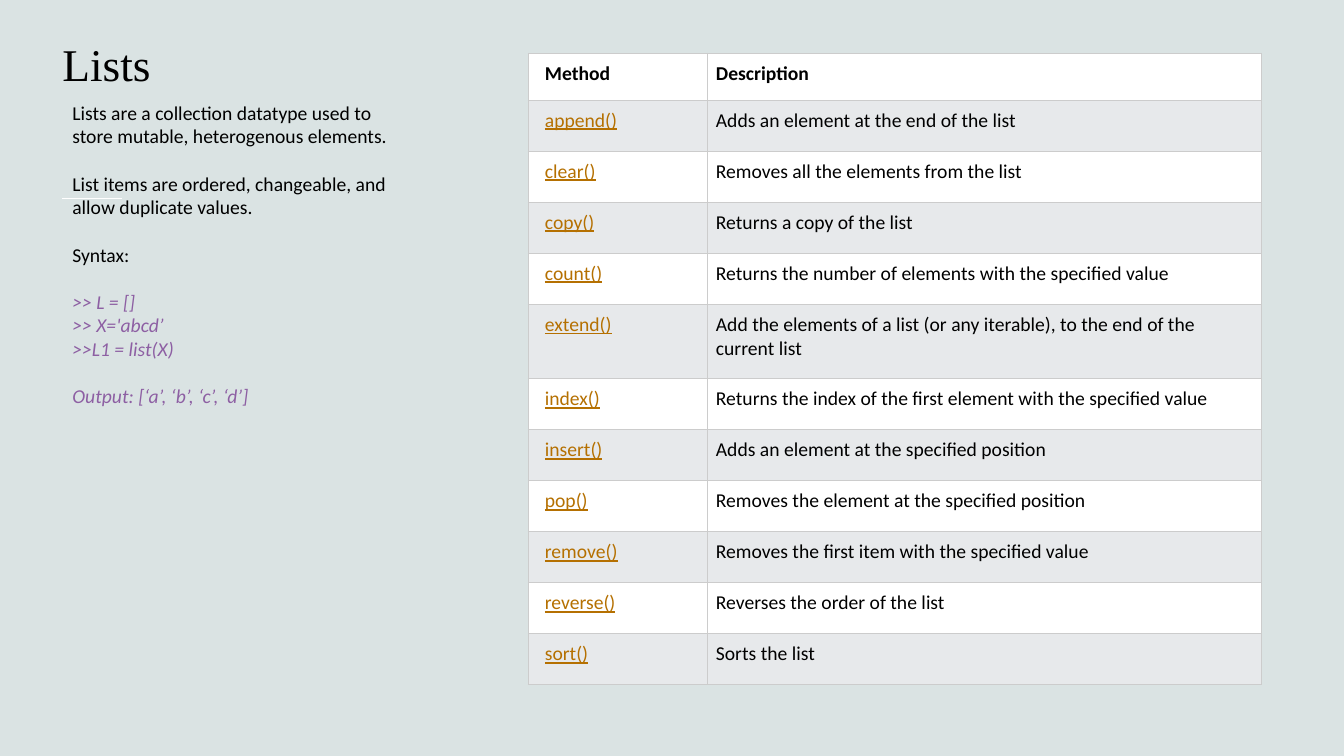
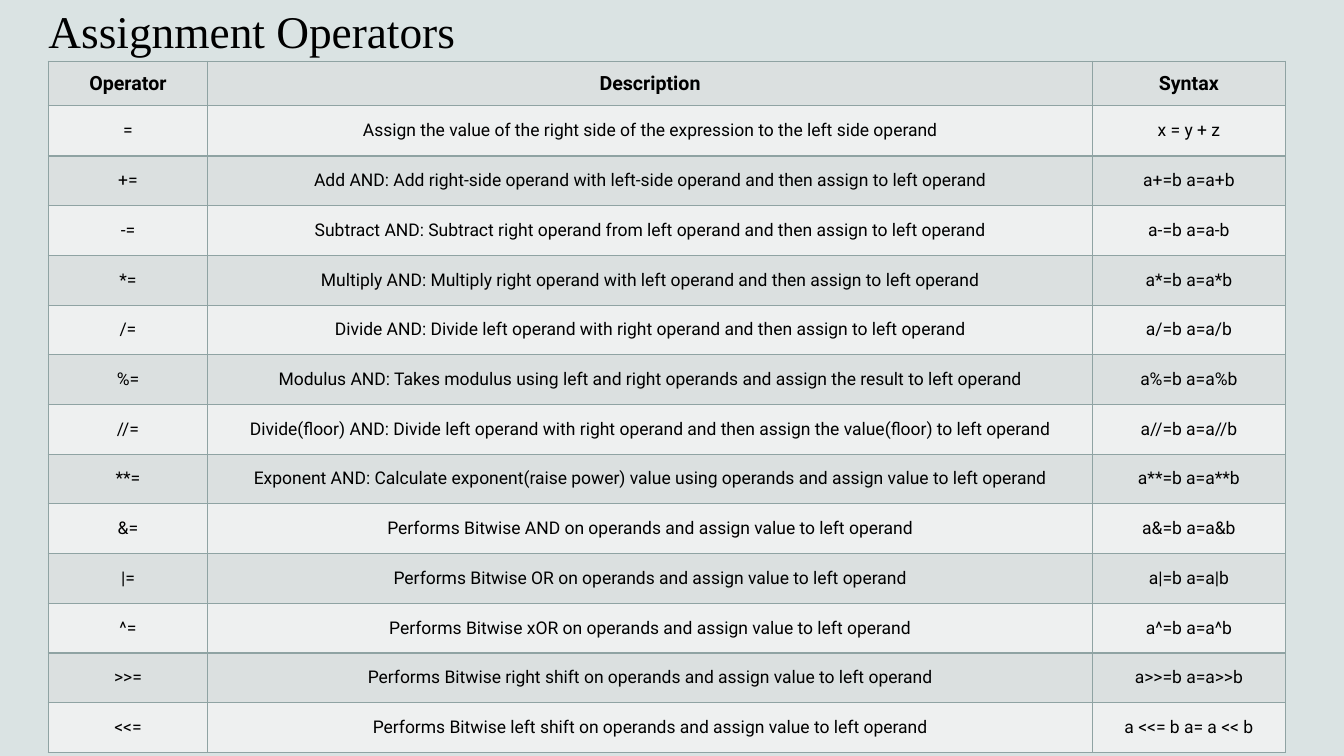
from lxml.etree import SubElement
from pptx import Presentation
from pptx.dml.color import RGBColor
from pptx.enum.text import MSO_ANCHOR, MSO_AUTO_SIZE, PP_ALIGN
from pptx.oxml import parse_xml
from pptx.oxml.ns import nsdecls, qn
from pptx.util import Pt

BACK = RGBColor(0xDA, 0xE3, 0xE3)
BLACK = RGBColor(0x00, 0x00, 0x00)
WHITE = RGBColor(0xFF, 0xFF, 0xFF)
PURPLE = RGBColor(0x8D, 0x5F, 0xA3)
AMBER = RGBColor(0xB5, 0x70, 0x01)
SILVER = RGBColor(0xE7, 0xE9, 0xEB)
GREY = RGBColor(0xCC, 0xCC, 0xCC)
MIST = RGBColor(0xDB, 0xE0, 0xE0)
PALE = RGBColor(0xEE, 0xF0, 0xF0)
SAGE = RGBColor(0x8F, 0xA3, 0xA3)

METHODS = [
    ("Method", "Description"),
    ("append()", "Adds an element at the end of the list"),
    ("clear()", "Removes all the elements from the list"),
    ("copy()", "Returns a copy of the list"),
    ("count()", "Returns the number of elements with the specified value"),
    ("extend()", "Add the elements of a list (or any iterable), to the end of the current list"),
    ("index()", "Returns the index of the first element with the specified value"),
    ("insert()", "Adds an element at the specified position"),
    ("pop()", "Removes the element at the specified position"),
    ("remove()", "Removes the first item with the specified value"),
    ("reverse()", "Reverses the order of the list"),
    ("sort()", "Sorts the list"),
]

# Text, colour and whether a gap comes before
NOTES = [
    ("Lists are a collection datatype used to store mutable, heterogenous elements.", BLACK, False),
    ("List items are ordered, changeable, and allow duplicate values.", BLACK, True),
    ("Syntax:", BLACK, True),
    (">> L = []", PURPLE, True),
    (">> X='abcd’", PURPLE, False),
    (">>L1 = list(X)", PURPLE, False),
    ("Output: [‘a’, ‘b’, ‘c’, ‘d’]", PURPLE, True),
]

OPERATORS = [
    ("Operator", "Description", "Syntax"),
    ("=", "Assign the value of the right side of the expression to the left side operand", "x = y + z"),
    ("+=", "Add AND: Add right-side operand with left-side operand and then assign to left operand", "a+=b a=a+b"),
    ("-=", "Subtract AND: Subtract right operand from left operand and then assign to left operand", "a-=b a=a-b"),
    ("*=", "Multiply AND: Multiply right operand with left operand and then assign to left operand", "a*=b a=a*b"),
    ("/=", "Divide AND: Divide left operand with right operand and then assign to left operand", "a/=b a=a/b"),
    ("%=", "Modulus AND: Takes modulus using left and right operands and assign the result to left operand",
     "a%=b a=a%b"),
    ("//=", "Divide(floor) AND: Divide left operand with right operand and then assign the value(floor) to left operand",
     "a//=b a=a//b"),
    ("**=", "Exponent AND: Calculate exponent(raise power) value using operands and assign value to left operand",
     "a**=b a=a**b"),
    ("&=", "Performs Bitwise AND on operands and assign value to left operand", "a&=b a=a&b"),
    ("|=", "Performs Bitwise OR on operands and assign value to left operand", "a|=b a=a|b"),
    ("^=", "Performs Bitwise xOR on operands and assign value to left operand", "a^=b a=a^b"),
    (">>=", "Performs Bitwise right shift on operands and assign value to left operand", "a>>=b a=a>>b"),
    ("<<=", "Performs Bitwise left shift on operands and assign value to left operand", "a <<= b a= a << b"),
]


class Deck:
    """Holds the shared style and the slide being built."""

    def __init__(self):
        self.prs = Presentation()
        self.prs.slide_width, self.prs.slide_height = Pt(960), Pt(540)
        fill = self.prs.slide_master.background.fill
        fill.solid()
        fill.fore_color.rgb = BACK
        self.slide = None

    def style(self, para, face, size, color=BLACK, bold=False, italic=False, under=False):
        for run in para.runs:
            font = run.font
            font.name, font.size, font.color.rgb = face, Pt(size), color
            font.bold, font.italic, font.underline = bold, italic, under

    def start(self, title, left, top, height):
        """Add a slide with its title and the short white rule."""
        self.slide = self.prs.slides.add_slide(self.prs.slide_layouts[5])
        rule = self.slide.shapes.add_connector(1, Pt(44.6), Pt(141.8), Pt(87.1), Pt(141.8))
        rule.line.color.rgb, rule.line.width = WHITE, Pt(1)
        SubElement(rule._element.spPr, qn("a:effectLst"))
        head = self.slide.shapes.title
        head.left, head.top, head.width, head.height = Pt(left), Pt(top), Pt(874), Pt(height)
        frame = head.text_frame
        frame.text = title
        frame.auto_size, frame.vertical_anchor = MSO_AUTO_SIZE.NONE, MSO_ANCHOR.BOTTOM
        frame.margin_left = 0
        para = frame.paragraphs[0]
        para.alignment = PP_ALIGN.LEFT
        self.style(para, "Times New Roman", 32.4)

    def notes(self, items, left, top, width, height):
        box = self.slide.shapes.add_textbox(Pt(left), Pt(top), Pt(width), Pt(height))
        frame = box.text_frame
        frame.word_wrap = True
        for i, (text, color, gap) in enumerate(items):
            para = frame.add_paragraph() if i else frame.paragraphs[0]
            para.text = text
            if gap:
                para.space_before = Pt(17)
            self.style(para, "Calibri", 14, color, italic=color == PURPLE)

    def edge(self, cell, color, width):
        """Draw all four borders; they must precede the fill."""
        props = cell._tc.get_or_add_tcPr()
        for i, side in enumerate("LRTB"):
            props.insert(i, parse_xml(
                f'<a:ln{side} {nsdecls("a")} w="{Pt(width)}"><a:solidFill>'
                f'<a:srgbClr val="{color}"/></a:solidFill></a:ln{side}>'))

    def table(self, rows, left, top, widths, heights, fills, line, dress):
        """Add a table; dress(cell, row, col) sets margins and text style."""
        frame = self.slide.shapes.add_table(
            len(rows), len(widths), Pt(left), Pt(top), Pt(sum(widths)), Pt(sum(heights)))
        grid = frame.table
        grid.first_row = grid.horz_banding = False
        for col, width in zip(grid.columns, widths):
            col.width = Pt(width)
        for r, (row, height) in enumerate(zip(rows, heights)):
            grid.rows[r].height = Pt(height)
            for c, text in enumerate(row):
                cell = grid.cell(r, c)
                cell.text = text
                cell.fill.solid()
                cell.fill.fore_color.rgb = fills[r % 2]
                self.edge(cell, *line)
                dress(cell, r, c)

    def method(self, cell, r, c):
        cell.margin_left = Pt(6 if c else 12)
        cell.margin_top = cell.margin_right = cell.margin_bottom = Pt(6)
        link = r > 0 and c == 0
        self.style(cell.text_frame.paragraphs[0], "Calibri", 14,
                   AMBER if link else BLACK, bold=r == 0, under=link)

    def operator(self, cell, r, c):
        cell.vertical_anchor = MSO_ANCHOR.MIDDLE
        cell.margin_left = cell.margin_right = Pt(7.2)
        cell.margin_top = cell.margin_bottom = Pt(10.4 if r else 7.2)
        para = cell.text_frame.paragraphs[0]
        para.alignment = PP_ALIGN.CENTER
        self.style(para, "Roboto", 12.5 if r else 14, bold=r == 0)


def main():
    deck = Deck()

    deck.start("Lists", 44.6, 18.7, 49.7)
    heights = [33.5] + [36.5] * 11
    heights[5] = 52.9
    deck.table(METHODS, 377.2, 38, [128.2, 395.7], heights,
               [WHITE, SILVER], (GREY, 0.75), deck.method)
    deck.notes(NOTES, 44.6, 68.4, 252.7, 227.5)

    deck.start("Assignment Operators", 34.6, 0, 44.6)
    deck.table(OPERATORS, 34.5, 43.8, [113.8, 632.2, 137.5], [31.5, 36.2] + [35.5] * 12,
               [MIST, PALE], (SAGE, 1), deck.operator)

    deck.prs.save("out.pptx")


if __name__ == "__main__":
    main()
